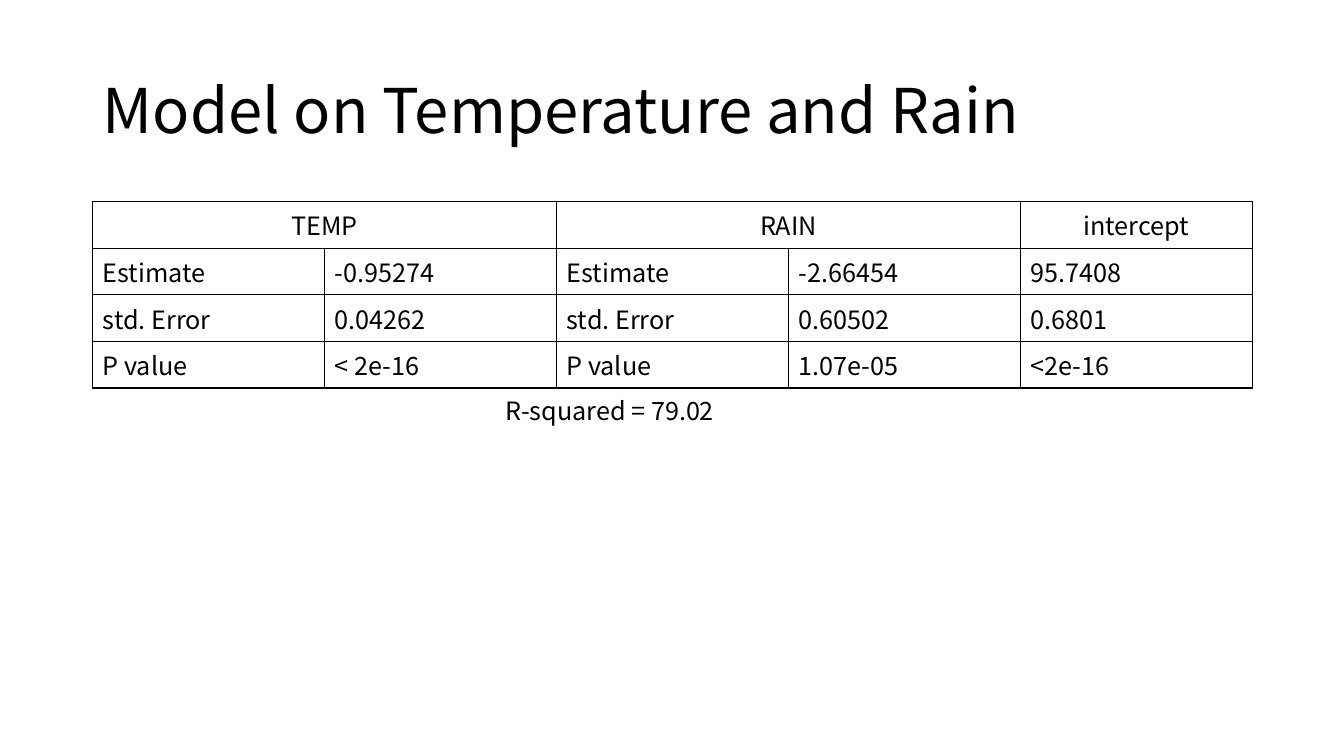
from lxml import etree
from pptx import Presentation
from pptx.dml.color import RGBColor
from pptx.enum.text import MSO_ANCHOR, MSO_AUTO_SIZE, PP_ALIGN
from pptx.oxml import parse_xml
from pptx.util import Inches, Pt

LEFT, CENTER = PP_ALIGN.LEFT, PP_ALIGN.CENTER
MIDDLE = MSO_ANCHOR.MIDDLE
GROW = MSO_AUTO_SIZE.SHAPE_TO_FIT_TEXT
FIXED = MSO_AUTO_SIZE.NONE

BLACK = RGBColor(0, 0, 0)
WHITE = RGBColor(255, 255, 255)
FONT = "Noto Sans CJK SC"
NS = "http://schemas.openxmlformats.org/drawingml/2006/main"

LABELS = ["Estimate", "std. Error", "P value"]
TEMP = ["-0.95274", "0.04262", "< 2e-16"]
RAIN = ["-2.66454", "0.60502", "1.07e-05"]
BASE = ["95.7408", "0.6801", "<2e-16"]
HEADS = {0: "TEMP", 2: "RAIN", 4: "intercept"}


def write(frame, text, size=18, align=LEFT, spacing=None):
    para = frame.paragraphs[0]
    para.alignment = align
    para.line_spacing = spacing
    run = para.add_run()
    run.text = text
    run.font.name = FONT
    run.font.size = Pt(size)
    run.font.color.rgb = BLACK


def border(cell, color=BLACK, width=1):
    """Rule all four sides; border lines must precede the fill in tcPr."""
    props = cell._tc.get_or_add_tcPr()
    for spot, side in enumerate("LRTB"):
        line = parse_xml(f'<a:ln{side} xmlns:a="{NS}" w="{Pt(width)}"/>')
        fill = etree.SubElement(line, f"{{{NS}}}solidFill")
        etree.SubElement(fill, f"{{{NS}}}srgbClr", val=str(color))
        props.insert(spot, line)


class Page:
    def __init__(self, deck):
        self.slide = deck.slides.add_slide(deck.slide_layouts[5])
        self.slide.background.fill.solid()
        self.slide.background.fill.fore_color.rgb = WHITE

    def title(self, text, x, y, w, h):
        shape = self.slide.shapes.title
        shape.left, shape.top = Inches(x), Inches(y)
        shape.width, shape.height = Inches(w), Inches(h)
        frame = shape.text_frame
        frame.auto_size = FIXED
        frame.vertical_anchor = MIDDLE
        write(frame, text, size=44, spacing=0.9)

    def note(self, text, x, y, w, h):
        box = self.slide.shapes.add_textbox(
            Inches(x), Inches(y), Inches(w), Inches(h))
        box.text_frame.word_wrap = True
        box.text_frame.auto_size = GROW
        write(box.text_frame, text)

    def table(self, heads, rows, x, y, w, h):
        """Draw a grid; a head spans every column up to the next head."""
        count = len(rows[0])
        table = self.slide.shapes.add_table(
            len(rows) + 1, count,
            Inches(x), Inches(y), Inches(w), Inches(h)).table
        table.first_row = table.horz_banding = False
        for cell in table.iter_cells():
            cell.fill.background()
            border(cell)
        starts = list(heads)
        for col, end in zip(starts, starts[1:] + [count]):
            if end - col > 1:
                table.cell(0, col).merge(table.cell(0, end - 1))
            write(table.cell(0, col).text_frame, heads[col], align=CENTER)
        for r, row in enumerate(rows, 1):
            for c, text in enumerate(row):
                write(table.cell(r, c).text_frame, text)


def main():
    deck = Presentation()
    deck.slide_width, deck.slide_height = Inches(13.33), Inches(7.5)
    page = Page(deck)
    page.title("Model on Temperature and Rain", 0.92, 0.4, 11.5, 1.45)
    rows = list(zip(LABELS, TEMP, LABELS, RAIN, BASE))
    page.table(HEADS, rows, 0.92, 2, 11.5, 1.62)
    page.note("R-squared = 79.02", 4.92, 3.87, 3.88, 0.4)
    deck.save("out.pptx")


if __name__ == "__main__":
    main()
